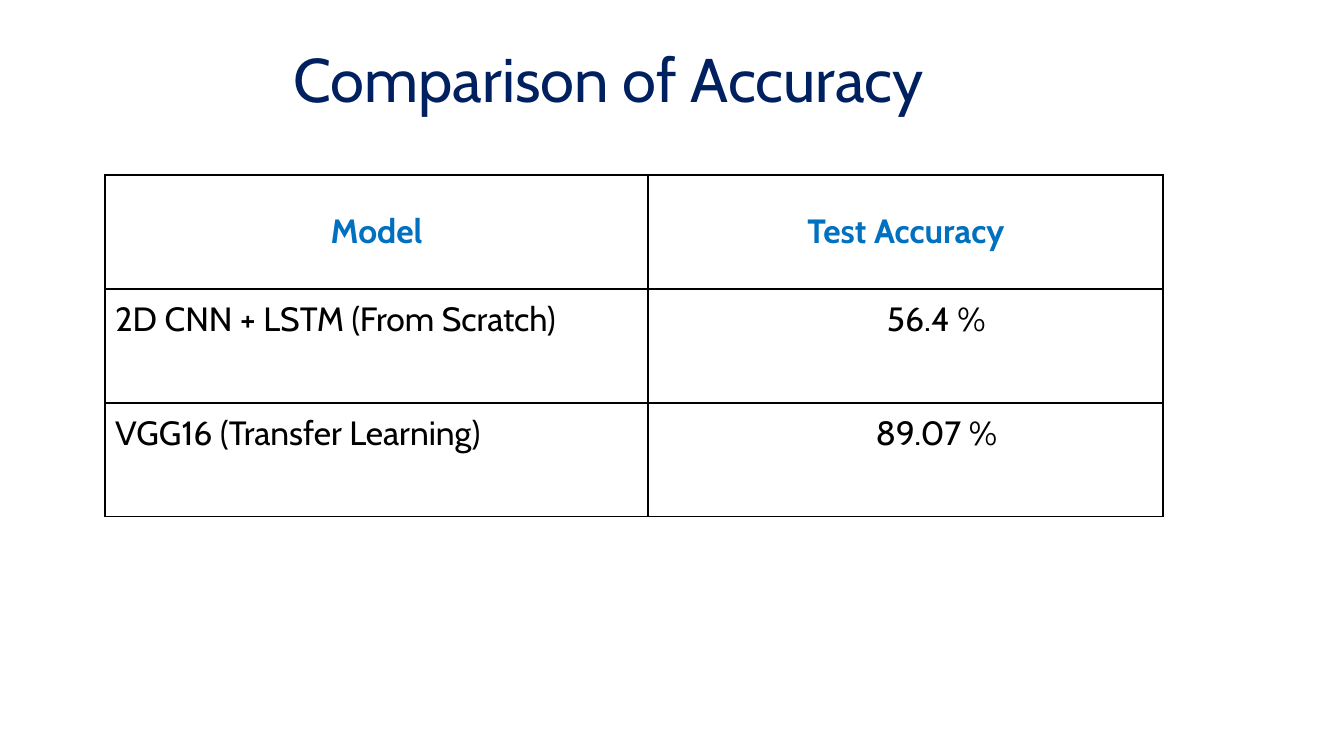
from pptx import Presentation
from pptx.dml.color import RGBColor
from pptx.enum.text import MSO_ANCHOR, MSO_AUTO_SIZE, PP_ALIGN
from pptx.oxml import parse_xml
from pptx.oxml.ns import nsdecls
from pptx.util import Pt


def rgb(value):
    return RGBColor.from_string(value)


def set_attributes(target, values):
    for name, value in values.items():
        setattr(target, name, value)


class Deck:
    """Holds the style and the current slide, and adds its elements."""

    font = "Cabin"
    navy, blue, black = "002060", "0070C0", "000000"

    def __init__(self, prs):
        self.s = prs.slides.add_slide(prs.slide_layouts[5])

    def add_text(self, tf, text, size, color, align, bold=False):
        p = tf.paragraphs[0]
        p.alignment = align
        r = p.add_run()
        r.text = text
        set_attributes(r.font, {"name": self.font, "size": Pt(size), "bold": bold})
        r.font.color.rgb = rgb(color)
        return p

    def title(self, text, left, top, width, height):
        sp = self.s.shapes.title
        set_attributes(sp, {"left": Pt(left), "top": Pt(top),
                            "width": Pt(width), "height": Pt(height)})
        tf = sp.text_frame
        set_attributes(tf, {"word_wrap": True, "auto_size": MSO_AUTO_SIZE.NONE,
                            "vertical_anchor": MSO_ANCHOR.MIDDLE})
        p = self.add_text(tf, text, 44, self.navy, PP_ALIGN.CENTER)
        p.line_spacing = 0.9

    def borders(self, cell):
        tc_pr = cell._tc.get_or_add_tcPr()
        for i, side in enumerate(("lnL", "lnR", "lnT", "lnB")):
            tc_pr.insert(i, parse_xml(
                f'<a:{side} {nsdecls("a")} w="{Pt(1.5)}"><a:solidFill>'
                f'<a:srgbClr val="{self.black}"/></a:solidFill></a:{side}>'))

    def cell(self, cell, text, is_header, is_value):
        margins = {f"margin_{side}": Pt(7.2) for side in ("left", "right", "top", "bottom")}
        anchor = MSO_ANCHOR.MIDDLE if is_header else MSO_ANCHOR.TOP
        set_attributes(cell, {**margins, "vertical_anchor": anchor})
        if is_value and not is_header:
            cell.margin_left = Pt(50.8)
        align = PP_ALIGN.CENTER if is_header or is_value else PP_ALIGN.LEFT
        color = self.blue if is_header else self.black
        self.add_text(cell.text_frame, text, 24, color, align, is_header)
        cell.fill.background()
        self.borders(cell)

    def table(self, rows, left, top, widths, row_height):
        table = self.s.shapes.add_table(
            len(rows), len(widths), Pt(left), Pt(top),
            Pt(sum(widths)), Pt(row_height * len(rows))).table
        set_attributes(table, {"first_row": False, "horz_banding": False})
        for column, width in zip(table.columns, widths):
            column.width = Pt(width)
        for i, row in enumerate(rows):
            for j, text in enumerate(row):
                self.cell(table.cell(i, j), text, i == 0, j == 1)


def main():
    prs = Presentation()
    set_attributes(prs, {"slide_width": Pt(960), "slide_height": Pt(540)})
    deck = Deck(prs)
    deck.title("Comparison of Accuracy", 21, 7, 828, 104.4)
    deck.table([("Model", "Test Accuracy"),
                ("2D CNN + LSTM (From Scratch)", "56.4 %"),
                ("VGG16 (Transfer Learning)", "89.07 %")],
               75, 125, (388, 368), 81.3)
    prs.save("out.pptx")


if __name__ == "__main__":
    main()
